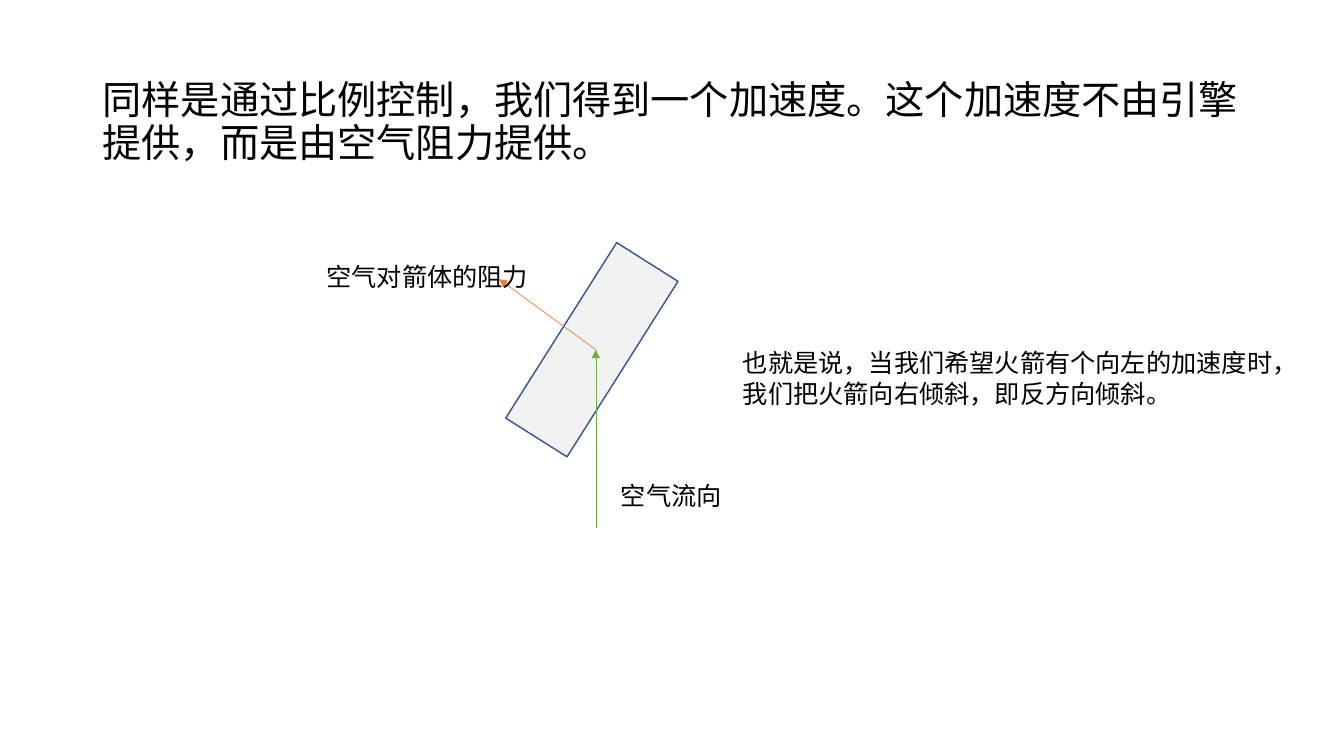
import pptx
import pptx.util
import pptx.dml.color
import pptx.enum.shapes
import pptx.enum.text
import pptx.oxml
import pptx.oxml.ns
from pptx.util import Inches

COLORS = {
    "text": "000000",
    "body": "F2F2F2",
    "outline": "325491",
    "airflow": "70AD47",
    "drag": "ED7D31",
}


def rgb(name):
    """Return the named colour."""
    return pptx.dml.color.RGBColor.from_string(COLORS[name])


def add_tag(parent, tag, **attributes):
    """Append a DrawingML element with the given attributes."""
    element = pptx.oxml.parse_xml(f"<{tag} {pptx.oxml.ns.nsdecls('a')}/>")
    for key, value in attributes.items():
        element.set(key, value)
    parent.append(element)


class Sketch:
    """Holds the text style and the current slide."""

    font = "Noto Sans CJK SC"

    def __init__(self, slide):
        """Keep the slide to draw on."""
        self.slide = slide

    def text(self, box, lines, size=18, pitch=21.6, wrap=False):
        """Add a text box with one paragraph per line."""
        frame = self.slide.shapes.add_textbox(*map(Inches, box)).text_frame
        frame.word_wrap = wrap
        frame.text = "\n".join(lines)
        style = {"size": pptx.util.Pt(size), "name": self.font}
        for paragraph in frame.paragraphs:
            paragraph.line_spacing = pptx.util.Pt(pitch)
            for run in paragraph.runs:
                for key, value in style.items():
                    setattr(run.font, key, value)
                run.font.color.rgb = rgb("text")
                add_tag(run.font._element, "a:ea", typeface=self.font)

    def rectangle(self, box, rotation, fill, outline):
        """Add a rotated, outlined rectangle."""
        shape = self.slide.shapes.add_shape(
            pptx.enum.shapes.MSO_SHAPE.RECTANGLE, *map(Inches, box))
        shape.rotation = rotation
        shape.shadow.inherit = False
        shape.fill.solid()
        shape.fill.fore_color.rgb = rgb(fill)
        shape.line.color.rgb = rgb(outline)
        shape.line.width = pptx.util.Pt(1)

    def arrow(self, start, end, color):
        """Add a thin arrow pointing at its end."""
        arrow = self.slide.shapes.add_connector(
            pptx.enum.shapes.MSO_CONNECTOR.STRAIGHT,
            *map(Inches, start + end))
        arrow.line.color.rgb = rgb(color)
        arrow.line.width = pptx.util.Pt(0.5)
        add_tag(arrow.line._get_or_add_ln(), "a:tailEnd", type="triangle")
        add_tag(arrow._element.spPr, "a:effectLst")


deck = pptx.Presentation()
deck.slide_width, deck.slide_height = Inches(13.33), Inches(7.5)
sketch = Sketch(deck.slides.add_slide(deck.slide_layouts[6]))

sketch.text(
    (0.92, 0.74, 11.5, 6.01),
    ["同样是通过比例控制，我们得到一个加速度。这个加速度不由引擎提供，而是由空气阻力提供。"],
    size=28, pitch=30.7, wrap=True)

rocket_center = (5.91, 3.47)
sketch.rectangle((5.51, 2.44, 0.72, 2.06), 32.3, "body", "outline")
sketch.arrow((5.91, 5.24), rocket_center, "airflow")
sketch.arrow(rocket_center, (4.95, 2.77), "drag")

sketch.text((6.06, 4.72, 1.21, 0.4), ["空气流向"])
sketch.text((3.14, 2.54, 2.22, 0.4), ["空气对箭体的阻力"])
sketch.text(
    (7.27, 3.4, 5.76, 0.71),
    ["也就是说，当我们希望火箭有个向左的加速度时，",
     "我们把火箭向右倾斜，即反方向倾斜。"])

deck.save("out.pptx")
